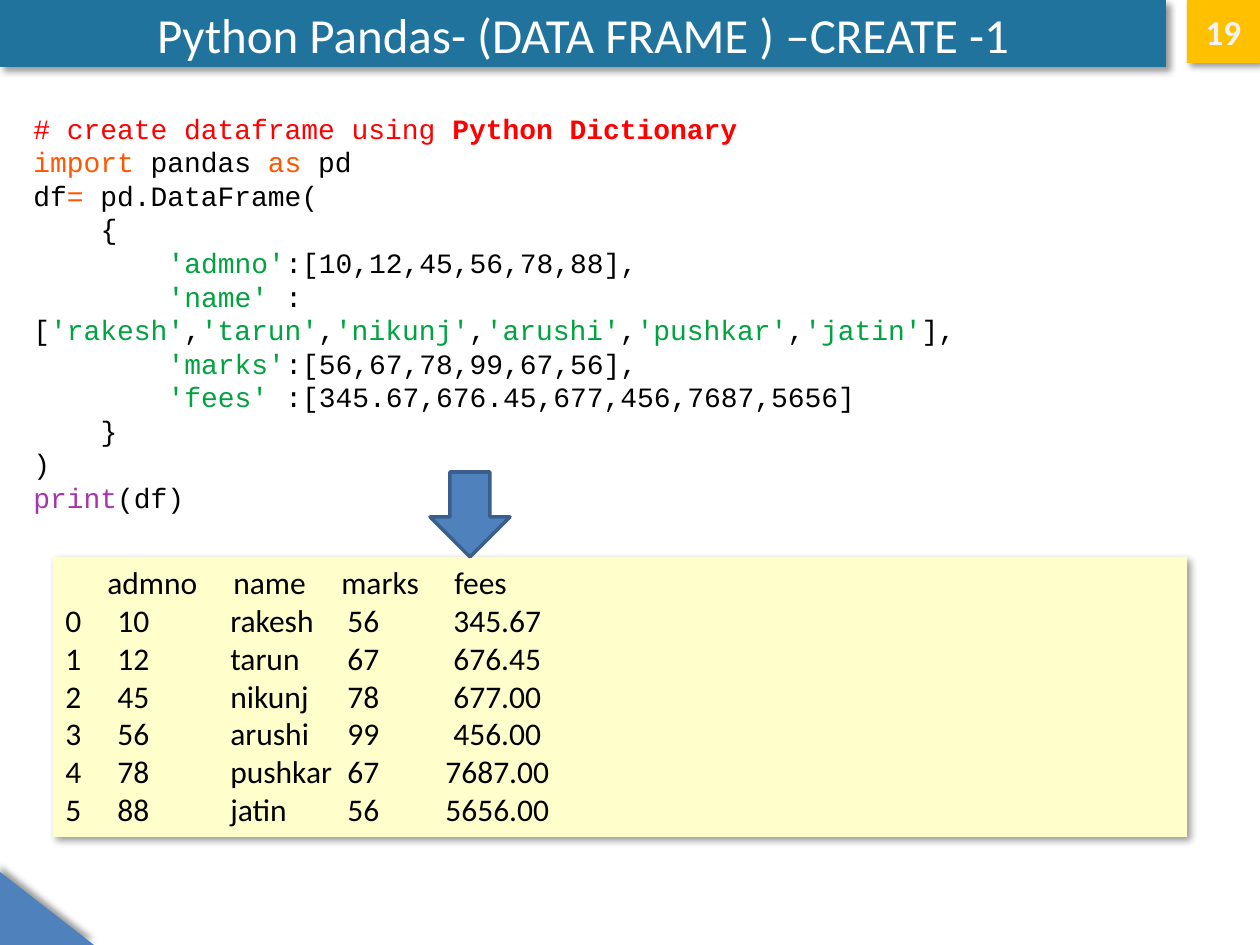
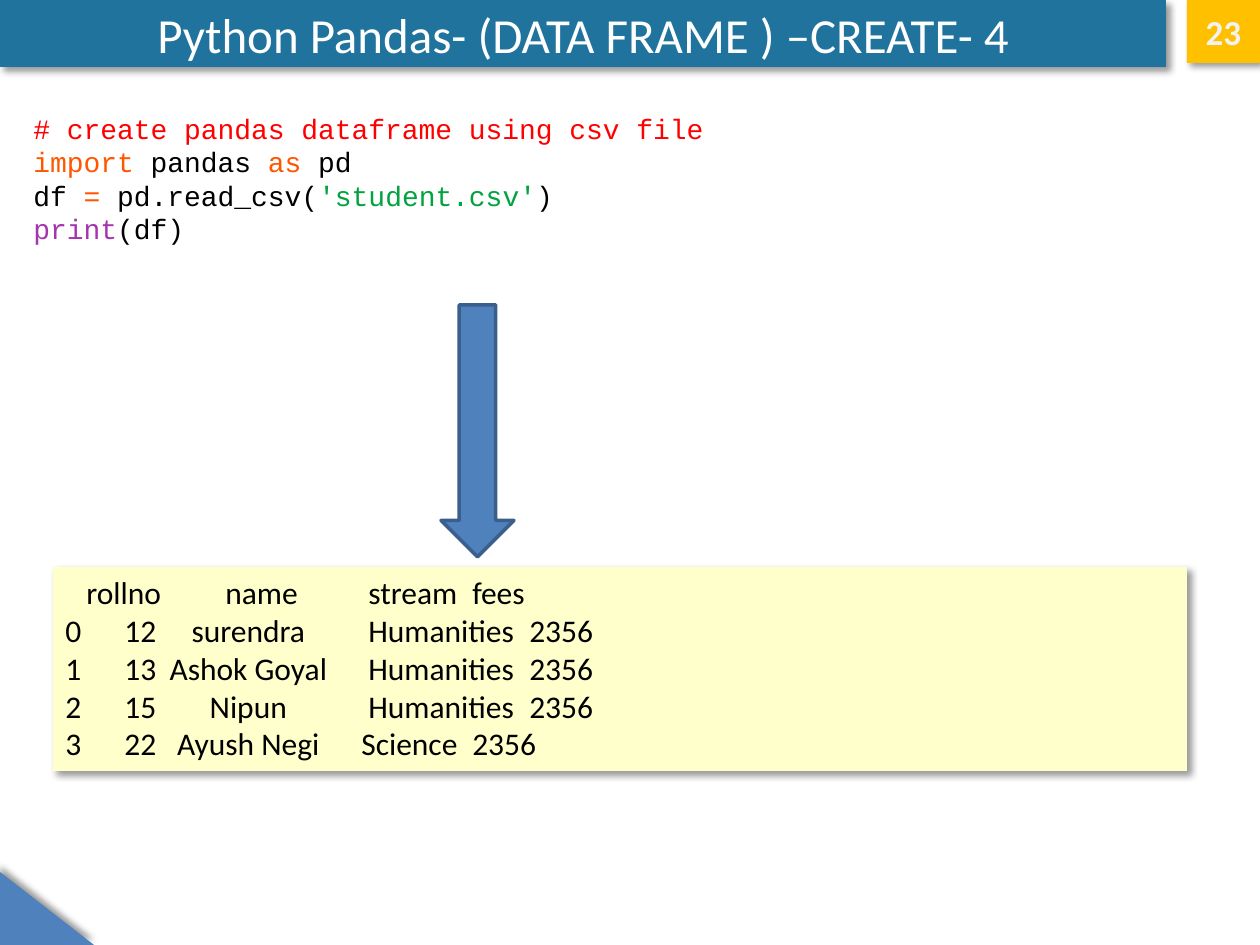
"""Build two slides on creating a pandas data frame, each with code and its output."""
from lxml.etree import SubElement as Sub
from pptx import Presentation
from pptx.dml.color import RGBColor as RGB
from pptx.enum.shapes import MSO_SHAPE as Kind
from pptx.enum.text import MSO_ANCHOR as Anchor, MSO_AUTO_SIZE as Fit, PP_ALIGN as Align
from pptx.oxml.ns import qn
from pptx.util import Pt

SCALE = 914400 // 126
HUES = {
    "blue": "4F81BD", "edge": "3A5F8C", "teal": "20739C", "gold": "FFC000",
    "cream": "FFFFCC", "white": "FFFFFF", "pale": "F2F2F2", "ink": "000000",
    "red": "FF0000", "orange": "FF5600", "green": "00A33F", "violet": "A535AE",
}
CHAR = 16.8


def px(num):
    """Turn picture pixels into EMU."""
    return round(num * SCALE)


def hue(name):
    """Look up a colour by name."""
    return RGB.from_string(HUES[name])


class Deck:
    """Hold the style and the current slide."""

    def __init__(self):
        """Open an empty deck of the right size."""
        self.show = Presentation()
        self.show.slide_width, self.show.slide_height = px(1260), px(945)

    def start(self, title, num):
        """Add a slide with its band, number and corner."""
        self.slide = self.show.slides.add_slide(self.show.slide_layouts[5])
        self.shape(Kind.RIGHT_TRIANGLE, (0, 872, 94, 73), "blue", turn=270)
        band = self.slide.shapes.title
        band.left, band.top, band.width, band.height = map(px, (0, 0, 1166, 67))
        self.paint(band, "teal")
        self.label(band, title, 28, "white")
        badge = self.shape(Kind.RECTANGLE, (1187, 0, 73, 63), "gold")
        self.label(badge, num, 20, "pale", True)

    def paint(self, shape, fill, turn=45):
        """Fill a shape, drop its line and cast a soft shadow."""
        shape.fill.solid()
        shape.fill.fore_color.rgb = hue(fill)
        shape.line.fill.background()
        shape.shadow.inherit = False
        if turn is None:
            return
        glow = shape._element.spPr.find(qn("a:effectLst"))
        cast = Sub(glow, qn("a:outerShdw"), blurRad="50800", dist="38100",
                   dir=str(turn * 60000), algn="tl", rotWithShape="0")
        tone = Sub(cast, qn("a:srgbClr"), val=HUES["ink"])
        Sub(tone, qn("a:alpha"), val="40000")

    def shape(self, kind, box, fill, turn=45):
        """Add a painted preset shape."""
        shape = self.slide.shapes.add_shape(kind, *map(px, box))
        self.paint(shape, fill, turn)
        return shape

    def style(self, para, size, tint, face="Calibri", bold=False):
        """Set the font of a paragraph."""
        font = para.font
        font.size, font.name, font.bold = Pt(size), face, bold
        font.color.rgb = hue(tint)

    def label(self, shape, text, size, tint, bold=False):
        """Write one centred line in a shape."""
        frame = shape.text_frame
        frame.auto_size, frame.word_wrap = Fit.NONE, True
        frame.vertical_anchor = Anchor.MIDDLE
        frame.text = text
        para = frame.paragraphs[0]
        para.alignment = Align.CENTER
        self.style(para, size, tint, bold=bold)

    def stops(self, para, marks):
        """Give a paragraph tab stops, as pairs of side and pixels."""
        tabs = para._p.get_or_add_pPr()
        tabs.insert(0, tabs.makeelement(qn("a:tabLst"), {}))
        for side, pos in marks:
            Sub(tabs[0], qn("a:tab"), pos=str(px(pos)),
                algn={"l": "l", "c": "ctr"}[side])

    def code(self, high, lines):
        """Write code, each line an indent in characters and its parts."""
        box = self.slide.shapes.add_textbox(*map(px, (21, 105, 1197, high)))
        frame = box.text_frame
        frame.word_wrap = True
        for row, (dent, *parts) in enumerate(lines):
            para = frame.add_paragraph() if row else frame.paragraphs[0]
            self.style(para, 16, "ink", "Courier New")
            if dent:
                props = para._p.get_or_add_pPr()
                props.set("marL", "0")
                props.set("indent", str(px(dent * CHAR)))
                self.stops(para, [("l", 16 * CHAR)])
            for part in parts:
                tint, text, *bold = ("ink", part) if isinstance(part, str) else part
                run = para.add_run()
                run.text = text
                run.font.color.rgb = hue(tint)
                if bold:
                    run.font.bold = True

    def output(self, top, high, groups):
        """Show printed rows, each group with its own tab stops."""
        panel = self.shape(Kind.RECTANGLE, (53, top, 1134, high), "cream")
        frame = panel.text_frame
        frame.word_wrap, frame.vertical_anchor = True, Anchor.TOP
        rows = [(marks, line) for *marks, lines in groups for line in lines]
        for row, ((sides, spots), line) in enumerate(rows):
            para = frame.add_paragraph() if row else frame.paragraphs[0]
            para.text = line.replace("|", "\t")
            para.alignment = Align.LEFT
            self.style(para, 18, "ink")
            self.stops(para, zip(sides, (spot - 65 for spot in spots)))

    def arrow(self, box):
        """Add an outlined arrow pointing down."""
        arrow = self.shape(Kind.DOWN_ARROW, box, "blue", None)
        arrow.line.color.rgb = hue("edge")
        arrow.line.width = Pt(2)


def entry(key, vals, end=","):
    """Make one dictionary line of code."""
    return 8, ("green", f"'{key}'"), "\t:[", *vals, "]" + end


LOAD = (0, ("orange", "import"), " pandas ", ("orange", "as"), " pd")
PRINT = (0, ("violet", "print"), "(df)")
NAMES = ["rakesh", "tarun", "nikunj", "arushi", "pushkar", "jatin"]
quoted = [part for name in NAMES for part in (("green", f"'{name}'"), ",")][:-1]

deck = Deck()
deck.start("Python Pandas- (DATA FRAME ) –CREATE -1", "19")
deck.code(391, [
    (0, ("red", "# create dataframe using "), ("red", "Python Dictionary", True)),
    LOAD,
    (0, "df", ("orange", "= "), "pd.DataFrame("),
    (4, "{"),
    entry("admno", ["10,12,45,56,78,88"]),
    entry("name", quoted),
    entry("marks", ["56,67,78,99,67,56"]),
    entry("fees", ["345.67,676.45,677,456,7687,5656"], ""),
    (4, "}"),
    (0, ")"),
    PRINT,
])
deck.output(557, 280, [
    ("llll", (107, 233, 341, 454), ["|admno|name|marks|fees"]),
    ("lllc", (117, 230, 347, 497), [
        "0|10|rakesh|56|345.67", "1|12|tarun|67|676.45",
        "2|45|nikunj|78|677.00", "3|56|arushi|99|456.00",
        "4|78|pushkar|67|7687.00", "5|88|jatin|56|5656.00",
    ]),
])
deck.arrow((430, 472, 80, 85))

deck.start("Python Pandas- (DATA FRAME ) –CREATE- 4", "23")
deck.code(149, [
    (0, ("red", "# create pandas dataframe using csv file")),
    LOAD,
    (0, "df ", ("orange", "= "), "pd.read_csv(", ("green", "'student.csv'"), ")"),
    PRINT,
])
deck.output(567, 204, [
    ("llll", (86, 225, 368, 472), ["|rollno|name|stream|fees"]),
    ("lcll", (124, 248, 368, 529), [
        "0|12|surendra|Humanities|2356", "1|13|Ashok Goyal|Humanities|2356",
        "2|15|Nipun|Humanities|2356",
    ]),
    ("lcll", (124, 248, 361, 472), ["3|22|Ayush Negi|Science|2356"]),
])
deck.arrow((441, 305, 73, 252))
deck.show.save("out.pptx")
